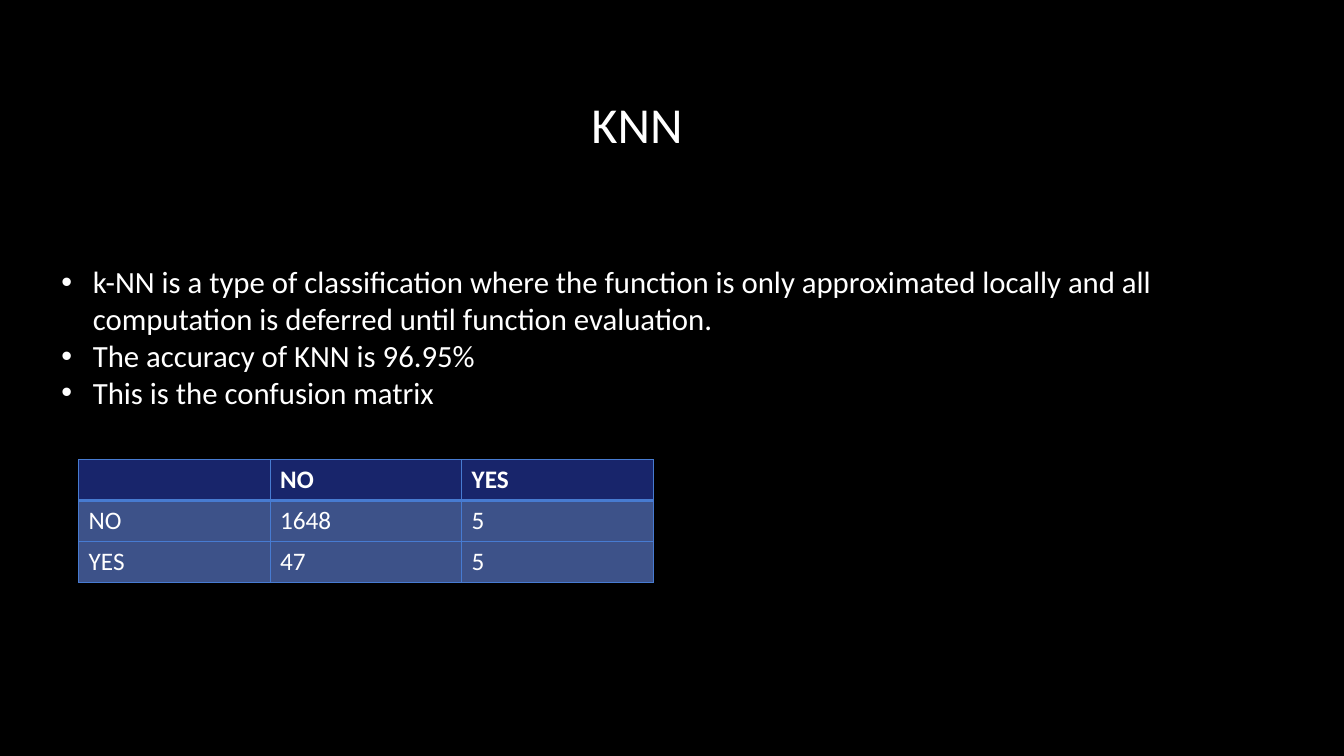
from dataclasses import dataclass

from lxml import etree
from pptx import Presentation
from pptx import util as u
from pptx.dml.color import RGBColor
from pptx.enum import text
from pptx.oxml import ns

BLACK = RGBColor(0x00, 0x00, 0x00)
WHITE = RGBColor(0xFF, 0xFF, 0xFF)
HEADER_FILL = RGBColor(0x18, 0x25, 0x6B)
BODY_FILL = RGBColor(0x3D, 0x52, 0x89)
BORDER = RGBColor(0x47, 0x7B, 0xD1)
FONT = "Calibri"
BULLET_INDENT = u.Pt(22.5)


@dataclass
class TextBlock:
    left: float
    top: float
    width: float
    height: float
    lines: list[str]
    size: float
    anchor: text.MSO_ANCHOR = text.MSO_ANCHOR.TOP
    alignment: text.PP_ALIGN = text.PP_ALIGN.LEFT
    bulleted: bool = False


TEXT_BLOCKS = [
    TextBlock(56.16, 30.96, 797.76, 114.48, ["KNN"], 36,
              text.MSO_ANCHOR.MIDDLE, text.PP_ALIGN.CENTER),
    TextBlock(36.72, 184.32, 898.56, 193.68, [
        "k-NN is a type of classification where the function is only approximated "
        "locally and all computation is deferred until function evaluation.",
        "The accuracy of KNN is 96.95%",
        "This is the confusion matrix",
    ], 22, bulleted=True),
]

CONFUSION_MATRIX = [
    ["", "NO", "YES"],
    ["NO", "1648", "5"],
    ["YES", "47", "5"],
]


def style_font(paragraph, size: float, bold: bool = False) -> None:
    font = paragraph.font
    font.name = FONT
    font.size = u.Pt(size)
    font.bold = bold
    font.color.rgb = WHITE


def add_bullet(paragraph) -> None:
    properties = paragraph._p.get_or_add_pPr()
    properties.set("marL", str(BULLET_INDENT))
    properties.set("indent", str(-BULLET_INDENT))
    bullet_font = etree.Element(ns.qn("a:buFont"), typeface="Arial")
    bullet = etree.Element(ns.qn("a:buChar"), char="•")
    properties.insert(0, bullet_font)
    properties.insert(1, bullet)


def draw_text(slide, block: TextBlock) -> None:
    shape = slide.shapes.add_textbox(u.Pt(block.left), u.Pt(block.top),
                                     u.Pt(block.width), u.Pt(block.height))
    frame = shape.text_frame
    frame.word_wrap = True
    frame.vertical_anchor = block.anchor
    frame.text = "\n".join(block.lines)
    for paragraph in frame.paragraphs:
        paragraph.alignment = block.alignment
        style_font(paragraph, block.size)
        if block.bulleted:
            add_bullet(paragraph)


def add_borders(cell, widths: dict[str, float]) -> None:
    properties = cell._tc.get_or_add_tcPr()
    for side, width in widths.items():
        line = etree.SubElement(properties, ns.qn(f"a:ln{side}"), w=str(u.Pt(width)))
        fill = etree.SubElement(line, ns.qn("a:solidFill"))
        etree.SubElement(fill, ns.qn("a:srgbClr"), val=str(BORDER))


def draw_matrix(slide, rows: list[list[str]]) -> None:
    table = slide.shapes.add_table(len(rows), len(rows[0]), u.Pt(56.16), u.Pt(328.32),
                                   u.Pt(410.4), u.Pt(87.6)).table
    for row_index, row in enumerate(rows):
        header = row_index == 0
        for column_index, value in enumerate(row):
            cell = table.cell(row_index, column_index)
            cell.text = value
            style_font(cell.text_frame.paragraphs[0], 18, bold=header)
            # The rule under the header is heavier than the rest
            add_borders(cell, {"L": 1, "R": 1, "T": 2 if row_index == 1 else 1,
                               "B": 2 if header else 1})
            cell.fill.solid()
            cell.fill.fore_color.rgb = HEADER_FILL if header else BODY_FILL


def main() -> None:
    presentation = Presentation()
    presentation.slide_width = u.Pt(960)
    presentation.slide_height = u.Pt(540)
    slide = presentation.slides.add_slide(presentation.slide_layouts[6])

    # Background
    slide.background.fill.solid()
    slide.background.fill.fore_color.rgb = BLACK

    # Title and bullet list
    for block in TEXT_BLOCKS:
        draw_text(slide, block)

    # Confusion matrix
    draw_matrix(slide, CONFUSION_MATRIX)

    presentation.save("out.pptx")


if __name__ == "__main__":
    main()
